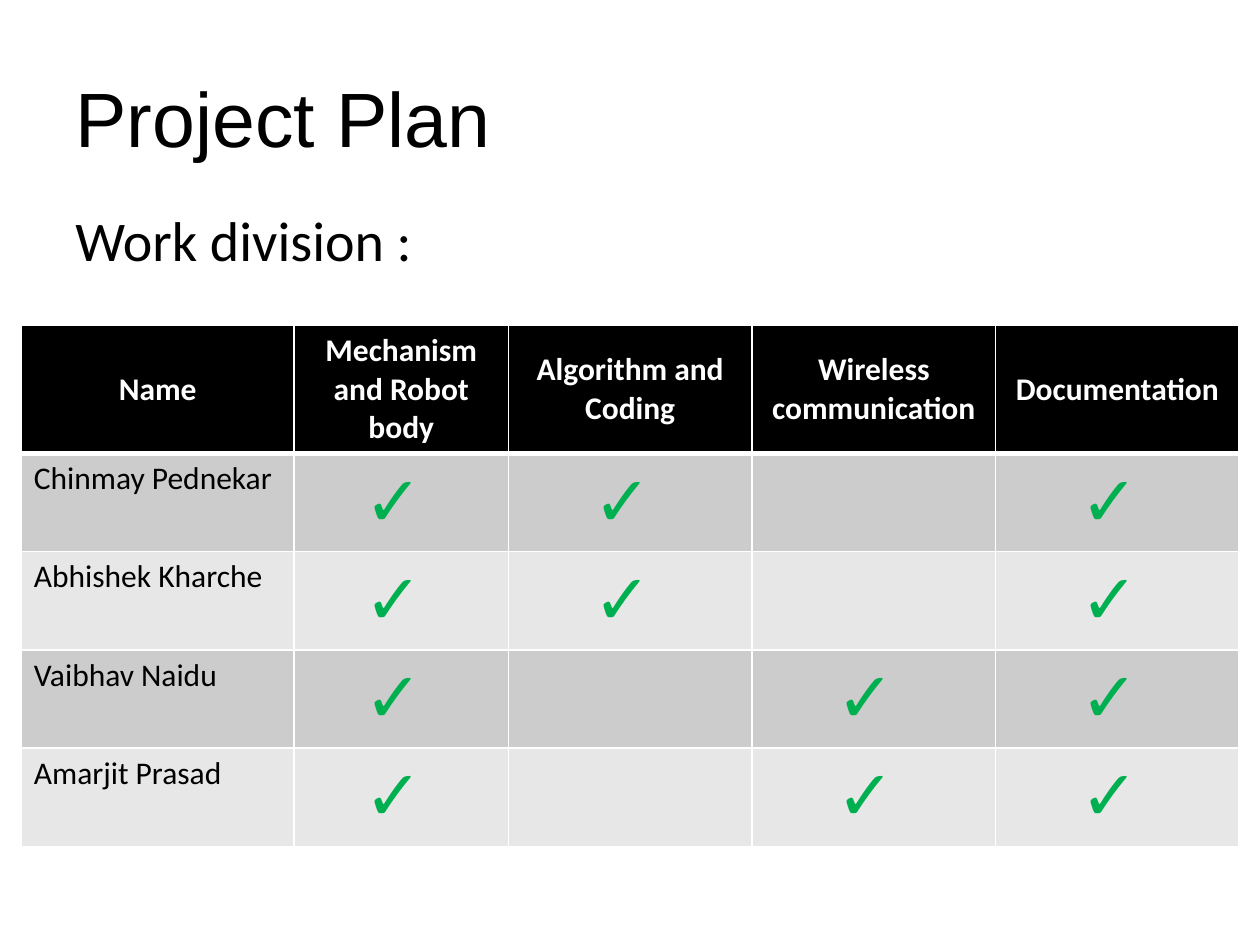
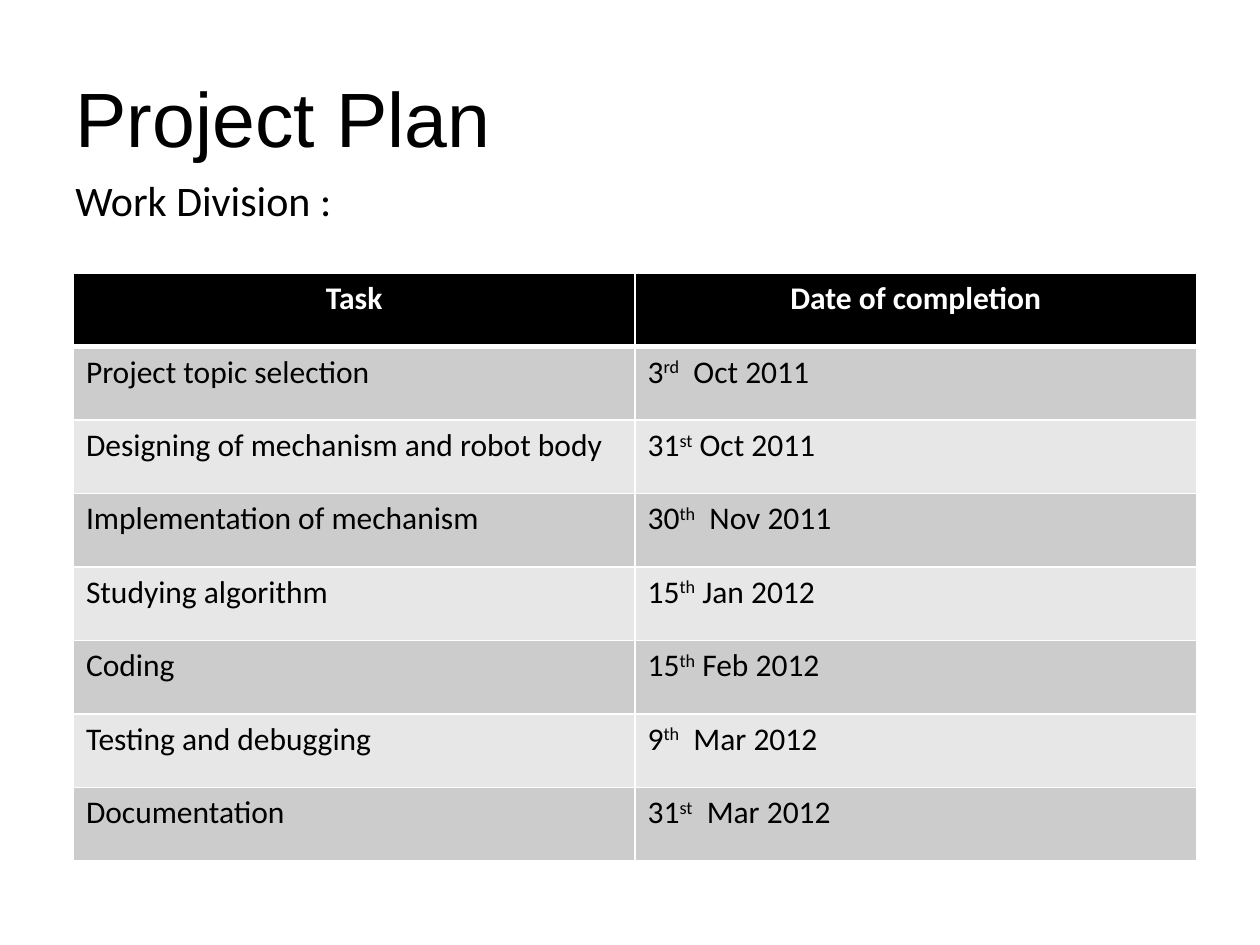
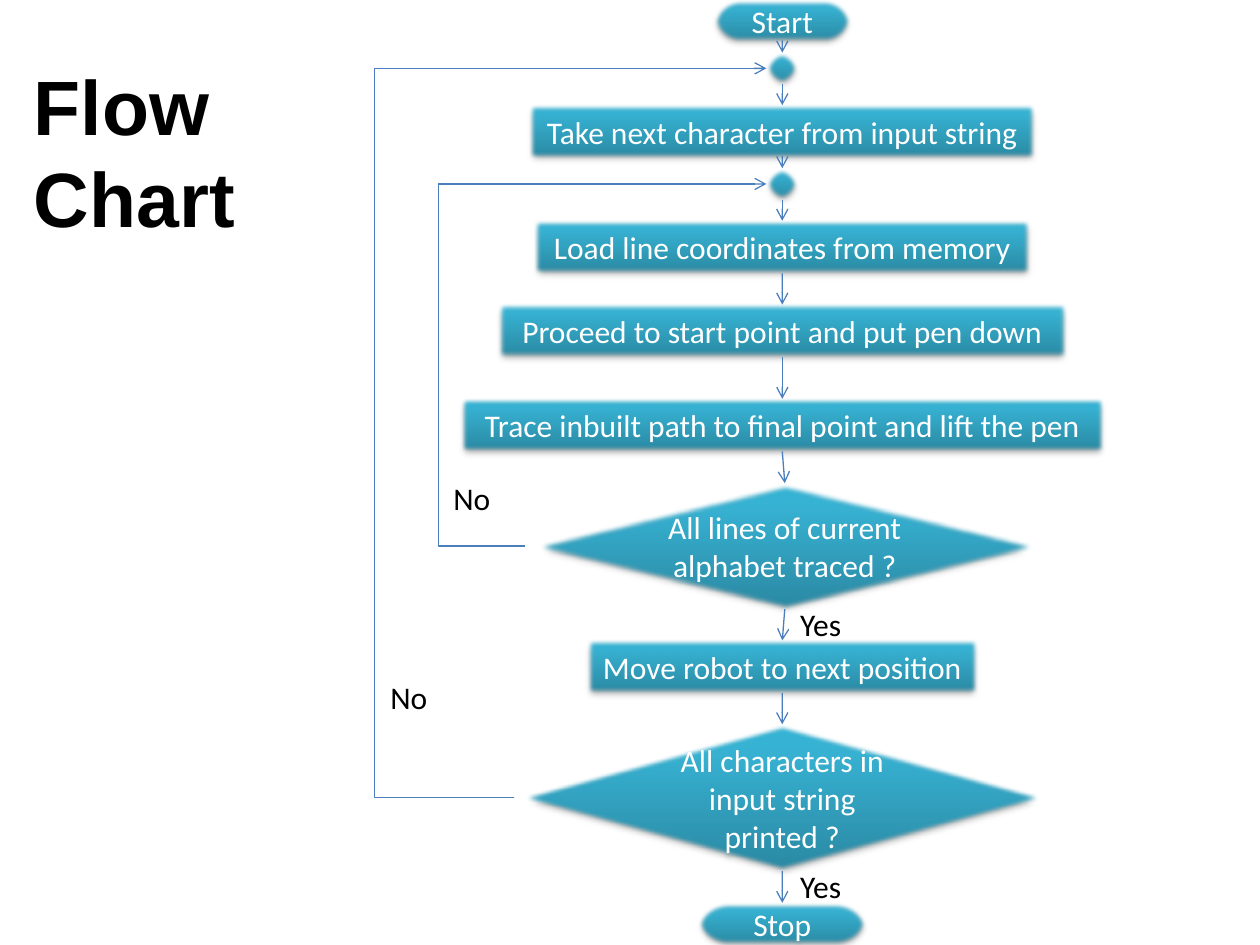
from copy import deepcopy

from pptx import Presentation
from pptx import util as u
from pptx.dml.color import RGBColor
from pptx.enum import shapes, text
from pptx.oxml import parse_xml
from pptx.oxml.ns import nsdecls, qn

BLACK = RGBColor(0x00, 0x00, 0x00)
WHITE = RGBColor(0xFF, 0xFF, 0xFF)
DARK_BAND = RGBColor(0xCC, 0xCC, 0xCC)
LIGHT_BAND = RGBColor(0xE7, 0xE7, 0xE7)
CHECK_GREEN = RGBColor(0x00, 0xB0, 0x50)
STEP_LINE = RGBColor(0x46, 0xAA, 0xC5)
ARROW_BLUE = RGBColor(0x4B, 0x7E, 0xBC)
STEP_GRADIENT = (
    (0, RGBColor(0x2A, 0x88, 0xA2)),
    (0.8, RGBColor(0x37, 0xB1, 0xD2)),
    (1, RGBColor(0x34, 0xB4, 0xD6)),
)

TITLE_FONT = {"name": "Arial", "size": u.Pt(44), "bold": False}
BODY_FONT = {"name": "Calibri", "size": u.Pt(18), "bold": False}
HEADER_FONT = {**BODY_FONT, "bold": True}
CHECK_FONT = {**BODY_FONT, "size": u.Pt(40)}
TITLE_PLACE = (1.27, 0.76, 22.86, 3.18)

CHECK = "✓"
MEMBERS = (
    ("Name", "Mechanism and Robot body", "Algorithm and Coding",
     "Wireless communication", "Documentation"),
    ("Chinmay Pednekar", CHECK, CHECK, "", CHECK),
    ("Abhishek Kharche", CHECK, CHECK, "", CHECK),
    ("Vaibhav Naidu", CHECK, "", CHECK, CHECK),
    ("Amarjit Prasad", CHECK, "", CHECK, CHECK),
)
TASKS = (
    ("Task", "Date of completion"),
    ("Project topic selection", ("3", "rd", "  Oct 2011")),
    ("Designing of mechanism and robot body", ("31", "st", " Oct 2011")),
    ("Implementation of mechanism", ("30", "th", "  Nov 2011")),
    ("Studying algorithm", ("15", "th", " Jan 2012")),
    ("Coding", ("15", "th", " Feb 2012")),
    ("Testing and debugging", ("9", "th", "  Mar 2012")),
    ("Documentation", ("31", "st", "  Mar 2012")),
)

TERMINATOR = shapes.MSO_SHAPE.FLOWCHART_TERMINATOR
PROCESS = shapes.MSO_SHAPE.FLOWCHART_PROCESS
DECISION = shapes.MSO_SHAPE.FLOWCHART_DECISION
JUNCTION = shapes.MSO_SHAPE.FLOWCHART_CONNECTOR
FLOW_CENTER = 15.77
STEPS = (
    (TERMINATOR, "Start", FLOW_CENTER, 0, 2.75, 0.85),
    (JUNCTION, "", FLOW_CENTER, 1.06, 0.64, 0.64),
    (PROCESS, "Take next character from input string", FLOW_CENTER, 2.12, 10.16, 1.06),
    (JUNCTION, "", FLOW_CENTER, 3.39, 0.64, 0.64),
    (PROCESS, "Load line coordinates from memory", FLOW_CENTER, 4.45, 9.95, 1.06),
    (PROCESS, "Proceed to start point and put pen down", FLOW_CENTER, 6.14, 11.43, 1.06),
    (PROCESS, "Trace inbuilt path to final point and lift the pen",
     FLOW_CENTER, 8.04, 12.91, 1.06),
    (DECISION, "All lines of current alphabet traced ?", 15.82, 9.74, 10.48, 2.54),
    (PROCESS, "Move robot to next position", FLOW_CENTER, 12.91, 7.83, 1.06),
    (DECISION, "All characters in input string printed ?", FLOW_CENTER, 14.6, 10.8, 2.96),
    (TERMINATOR, "Stop", FLOW_CENTER, 18.2, 3.39, 0.85),
)
LOOPS = ((7, 3, 8.84), (9, 1, 7.55))
BRANCH_LABELS = (
    ("Yes", 15.88, 17.35, 1.5),
    ("No", 7.62, 13.54, 1.42),
    ("Yes", 15.88, 12.07, 1.5),
    ("No", 8.89, 9.53, 1.27),
)


def apply(target, formats):
    for name, value in formats.items():
        setattr(target, name, value)


def lengths(*values):
    return [u.Cm(value) for value in values]


def add_run(paragraph, words, font, color):
    run = paragraph.add_run()
    run.text = words
    apply(run.font, font)
    run.font.color.rgb = color
    return run


def add_titled_slide(presentation, title, place=TITLE_PLACE, font=TITLE_FONT,
                     anchor=text.MSO_ANCHOR.MIDDLE):
    slide = presentation.slides.add_slide(presentation.slide_layouts[5])
    shape = slide.shapes.title
    apply(shape, dict(zip(("left", "top", "width", "height"), lengths(*place))))
    apply(shape.text_frame, {"vertical_anchor": anchor, "word_wrap": True,
                             "auto_size": text.MSO_AUTO_SIZE.NONE})
    paragraph = shape.text_frame.paragraphs[0]
    paragraph.alignment = text.PP_ALIGN.LEFT
    add_run(paragraph, title, font, BLACK)
    return slide


def add_text(slide, words, place, font=BODY_FONT):
    box = slide.shapes.add_textbox(*lengths(*place))
    box.text_frame.word_wrap = True
    add_run(box.text_frame.paragraphs[0], words, font, BLACK)


def add_cell_borders(cell, row_index):
    properties = cell._tc.get_or_add_tcPr()
    for side in "LRTB":
        heavy = (side, row_index) in (("B", 0), ("T", 1))
        properties.append(parse_xml(
            f'<a:ln{side} {nsdecls("a")} w="{u.Pt(3 if heavy else 1)}">'
            f'<a:solidFill><a:srgbClr val="{WHITE}"/></a:solidFill></a:ln{side}>'))


def add_check_bullet(paragraph):
    properties = paragraph._p.get_or_add_pPr()
    properties.set("marL", str(u.Cm(0.95)))
    properties.set("indent", str(-u.Cm(0.95)))
    for element in (f'<a:buClr {nsdecls("a")}><a:srgbClr val="{CHECK_GREEN}"/></a:buClr>',
                    f'<a:buFont {nsdecls("a")} typeface="{CHECK_FONT["name"]}"/>',
                    f'<a:buChar {nsdecls("a")} char="{CHECK}"/>'):
        properties.append(parse_xml(element))
    add_run(paragraph, " ", CHECK_FONT, CHECK_GREEN)


def fill_cell(cell, content, row_index, header_anchor):
    is_header = row_index == 0
    paragraph = cell.text_frame.paragraphs[0]
    add_cell_borders(cell, row_index)
    cell.fill.solid()
    cell.fill.fore_color.rgb = BLACK if is_header else (LIGHT_BAND, DARK_BAND)[row_index % 2]
    if is_header:
        cell.vertical_anchor = header_anchor
        paragraph.alignment = text.PP_ALIGN.CENTER
        add_run(paragraph, content, HEADER_FONT, WHITE)
    elif content == CHECK:
        apply(cell, {"vertical_anchor": text.MSO_ANCHOR.MIDDLE,
                     "margin_top": 0, "margin_bottom": 0})
        paragraph.alignment = text.PP_ALIGN.CENTER
        add_check_bullet(paragraph)
    elif isinstance(content, tuple):
        day, suffix, month = content
        add_run(paragraph, day, BODY_FONT, BLACK)
        ordinal = add_run(paragraph, suffix, BODY_FONT, BLACK)
        ordinal.font._element.set("baseline", "30000")
        add_run(paragraph, month, BODY_FONT, BLACK)
    elif content:
        add_run(paragraph, content, BODY_FONT, BLACK)


def add_table(slide, rows, left, top, widths, heights, header_anchor):
    frame = slide.shapes.add_table(
        len(rows), len(widths), *lengths(left, top, sum(widths), sum(heights)))
    table = frame.table
    for column, width in zip(table.columns, widths):
        column.width = u.Cm(width)
    for row_index, (row, height) in enumerate(zip(rows, heights)):
        table.rows[row_index].height = u.Cm(height)
        for column_index, content in enumerate(row):
            fill_cell(table.cell(row_index, column_index), content, row_index, header_anchor)


def style_step(shape):
    shape.fill.gradient()
    shape.fill.gradient_angle = 90
    properties = shape._element.spPr
    stop_list = properties.find(".//" + qn("a:gsLst"))
    stop_list.insert(1, deepcopy(stop_list[1]))
    for stop, (position, color) in zip(shape.fill.gradient_stops, STEP_GRADIENT):
        stop.position = position
        stop.color.rgb = color
    shape.line.color.rgb = STEP_LINE
    shape.line.width = u.Pt(0.75)
    shape.shadow.inherit = False
    effects = properties.find(qn("a:effectLst"))
    effects.append(parse_xml(
        f'<a:outerShdw {nsdecls("a")} blurRad="{u.Pt(3.1)}" dist="{u.Pt(1.8)}" '
        f'dir="5400000" rotWithShape="0"><a:srgbClr val="{BLACK}">'
        '<a:alpha val="35000"/></a:srgbClr></a:outerShdw>'))
    effects.append(parse_xml(f'<a:softEdge {nsdecls("a")} rad="{u.Pt(2.5)}"/>'))


def add_step(slide, kind, words, center, top, width, height):
    shape = slide.shapes.add_shape(kind, *lengths(center - width / 2, top, width, height))
    style_step(shape)
    if words:
        apply(shape.text_frame, {"word_wrap": True, "vertical_anchor": text.MSO_ANCHOR.MIDDLE})
        paragraph = shape.text_frame.paragraphs[0]
        paragraph.alignment = text.PP_ALIGN.CENTER
        add_run(paragraph, words, BODY_FONT, WHITE)
    return shape


def add_arrow(slide, kind, begin, end):
    connector = slide.shapes.add_connector(kind, *begin, *end)
    connector.line.color.rgb = ARROW_BLUE
    connector.line.width = u.Pt(0.75)
    connector.line._get_or_add_ln().append(
        parse_xml(f'<a:tailEnd {nsdecls("a")} type="arrow"/>'))
    connector._element.spPr.append(parse_xml(f'<a:effectLst {nsdecls("a")}/>'))
    return connector


def add_down_arrow(slide, upper, lower):
    connector = add_arrow(
        slide, shapes.MSO_CONNECTOR.STRAIGHT,
        (upper.left + upper.width // 2, upper.top + upper.height),
        (lower.left + lower.width // 2, lower.top))
    if upper.auto_shape_type != JUNCTION:
        connector.begin_connect(upper, 2)
    connector.end_connect(lower, 0)


def add_loop(slide, decision, junction, lane):
    begin, end = ((shape.left, shape.top + shape.height // 2)
                  for shape in (decision, junction))
    connector = add_arrow(slide, shapes.MSO_CONNECTOR.ELBOW, begin, end)
    bend = round((u.Cm(lane) - begin[0]) / (end[0] - begin[0]) * 100000)
    geometry = connector._element.spPr.find(qn("a:prstGeom"))
    for adjustments in geometry.findall(qn("a:avLst")):
        geometry.remove(adjustments)
    geometry.append(parse_xml(
        f'<a:avLst {nsdecls("a")}><a:gd name="adj1" fmla="val {bend}"/></a:avLst>'))


def add_member_slide(presentation):
    slide = add_titled_slide(presentation, "Project Plan")
    add_text(slide, "Work division :", (1.27, 4.02, 22.86, 1.8),
             {**BODY_FONT, "size": u.Pt(32)})
    add_table(slide, MEMBERS, 0.43, 6.56, (5.5, 4.32, 4.91, 4.91, 4.91),
              (2.58,) + (1.98,) * 4, text.MSO_ANCHOR.MIDDLE)


def add_task_slide(presentation):
    slide = add_titled_slide(presentation, "Project Plan")
    add_text(slide, "Work Division :", (1.27, 3.39, 22.86, 1.4),
             {**BODY_FONT, "size": u.Pt(24)})
    add_table(slide, TASKS, 1.48, 5.51, (11.32,) * 2, (1.48,) * len(TASKS),
              text.MSO_ANCHOR.TOP)


def add_flow_slide(presentation):
    slide = add_titled_slide(presentation, "Flow Chart", (0.43, 1.05, 7.54, 4.02),
                             {**TITLE_FONT, "bold": True}, text.MSO_ANCHOR.TOP)
    steps = [add_step(slide, *step) for step in STEPS]
    for upper, lower in zip(steps, steps[1:]):
        add_down_arrow(slide, upper, lower)
    for decision, junction, lane in LOOPS:
        add_loop(slide, steps[decision], steps[junction], lane)
    for words, left, top, width in BRANCH_LABELS:
        add_text(slide, words, (left, top, width, 1.02))


def main():
    presentation = Presentation()
    apply(presentation, {"slide_width": u.Cm(25.4), "slide_height": u.Cm(19.05)})
    add_member_slide(presentation)
    add_task_slide(presentation)
    add_flow_slide(presentation)
    presentation.save("out.pptx")


if __name__ == "__main__":
    main()
